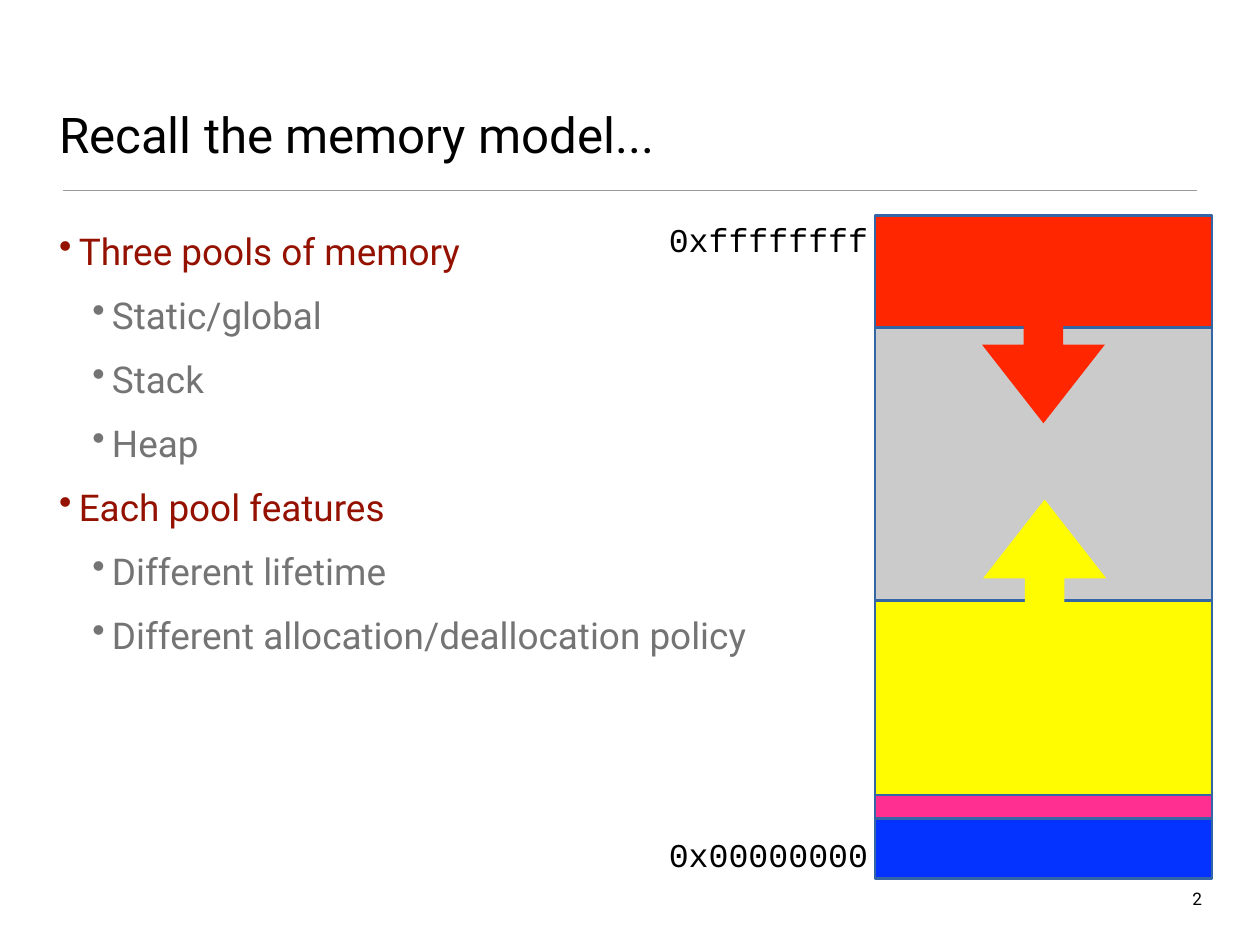
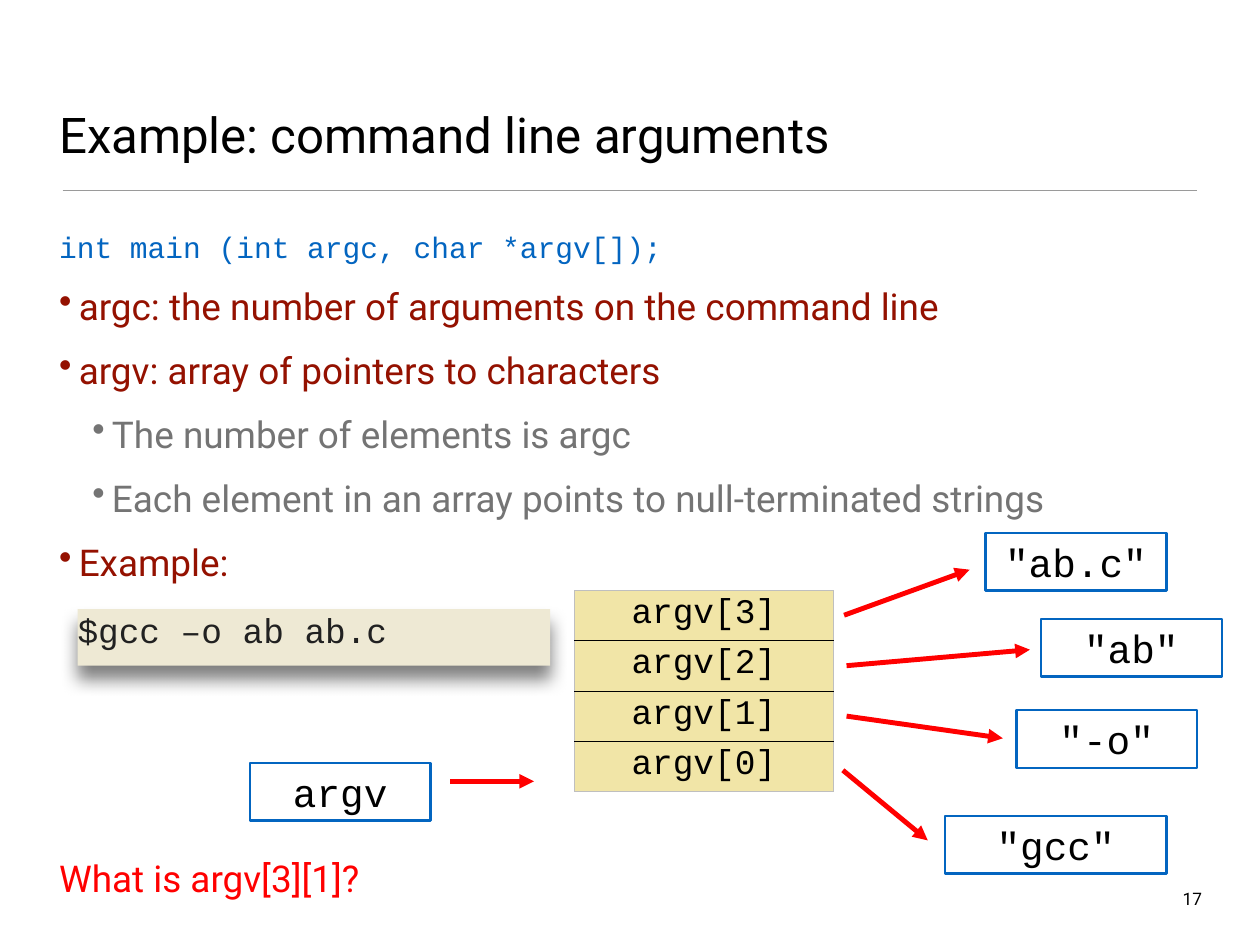
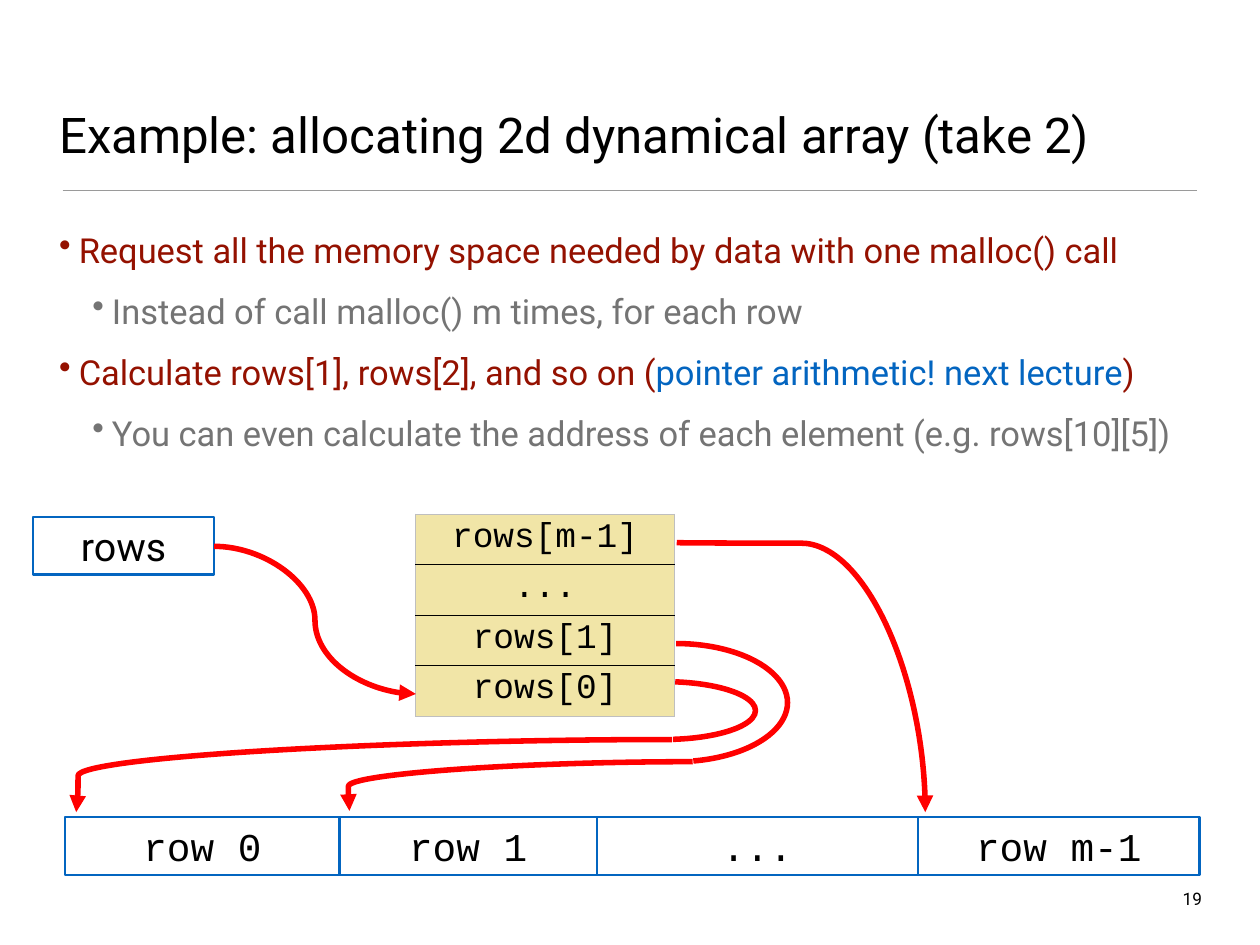
from itertools import pairwise

from lxml import etree
from pptx import Presentation
from pptx.dml.color import RGBColor
from pptx.enum.shapes import MSO_CONNECTOR, MSO_SHAPE
from pptx.enum.text import MSO_ANCHOR, PP_ALIGN
from pptx.oxml.ns import qn
from pptx.util import Emu, Pt

LEFT, CENTER, RIGHT = PP_ALIGN.LEFT, PP_ALIGN.CENTER, PP_ALIGN.RIGHT
TOP, MIDDLE, BOTTOM = MSO_ANCHOR.TOP, MSO_ANCHOR.MIDDLE, MSO_ANCHOR.BOTTOM
RECT, ARC = MSO_SHAPE.RECTANGLE, MSO_SHAPE.ARC
DOWN, UP = MSO_SHAPE.DOWN_ARROW, MSO_SHAPE.UP_ARROW
STRAIGHT, CURVE = MSO_CONNECTOR.STRAIGHT, MSO_CONNECTOR.CURVE

SCALE = 12700  # EMU per px
SLIDE_W, SLIDE_H = 1024, 768
BOX_W, BOX_H = 147, 47


class Theme:
    sans, mono = "Roboto", "Courier New"
    # Colours
    black, rule = "000000", "9A9A9A"
    point, sub, accent, alert = "941100", "747474", "0365C0", "FF0000"
    cell, cell_edge = "F1E5A7", "BFBFBF"
    console, console_text = "EEE9D4", "212121"
    stack, heap, free = "FF2600", "FFFB00", "CBCBCB"
    static, code, memory_edge = "FF2F92", "0433FF", "3465A4"
    # Type sizes
    title, body, body_small, signature = 40, 30, 28, 24
    box, table, address, number = 32, 28, 27, 14
    gap = 16


# Body paragraph kinds: indent, colour
KINDS = {
    "point": (16, Theme.point),
    "sub": (43, Theme.sub),
    "code": (0, Theme.accent),
    "question": (0, Theme.alert),
}
HANG = 16


def px(n):
    return Emu(round(n * SCALE))


def rgb(color):
    return RGBColor.from_string(color)


def add_xml(parent, tag, **attrs):
    return etree.SubElement(parent, qn(tag), attrs)


def style_run(r, size, color, font):
    r.font.size = Pt(size)
    r.font.name = font
    r.font.color.rgb = rgb(color)


# Text
def set_frame(tf, anchor, inset, wrap=True):
    tf.word_wrap = wrap
    tf.vertical_anchor = anchor
    tf.margin_left = tf.margin_right = px(inset)
    tf.margin_top = tf.margin_bottom = px(inset)


def write(tf, text, size, color=Theme.black, font=Theme.sans, align=LEFT):
    tf.text = text
    p = tf.paragraphs[0]
    p.alignment = align
    style_run(p.runs[0], size, color, font)


def add_text(slide, box, text, size, font=Theme.sans, align=LEFT,
             anchor=TOP, inset=3, wrap=True):
    tf = slide.shapes.add_textbox(*map(px, box)).text_frame
    set_frame(tf, anchor, inset, wrap)
    write(tf, text, size, font=font, align=align)


def add_body(slide, items, size=Theme.body):
    """Items are (kind, text, extra gap); text between bars is accented."""
    tf = slide.shapes.add_textbox(*map(px, (45, 183, 934, 517))).text_frame
    set_frame(tf, TOP, 3)
    for i, (kind, text, *extra) in enumerate(items):
        p = tf.paragraphs[0] if i == 0 else tf.add_paragraph()
        indent, color = KINDS[kind]
        p.space_before = Pt(Theme.gap + sum(extra))
        if indent:
            pPr = p._p.get_or_add_pPr()
            pPr.set("marL", str(px(indent)))
            pPr.set("indent", str(px(-HANG)))
            add_xml(pPr, "a:buChar", char="•")
        for j, part in enumerate(text.split("|")):
            r = p.add_run()
            r.text = part
            if kind == "code":
                style_run(r, Theme.signature, color, Theme.mono)
            else:
                style_run(r, size, Theme.accent if j % 2 else color, Theme.sans)


# Shapes
def add_shape(slide, kind, box, fill=None, line=None, width=2):
    sp = slide.shapes.add_shape(kind, *map(px, box))
    sp.shadow.inherit = False
    if fill:
        sp.fill.solid()
        sp.fill.fore_color.rgb = rgb(fill)
    else:
        sp.fill.background()
    if line:
        sp.line.color.rgb = rgb(line)
        sp.line.width = Pt(width)
    else:
        sp.line.fill.background()
    return sp


def add_box(slide, x, y, text, w=BOX_W, font=Theme.mono):
    sp = add_shape(slide, RECT, (x, y, w, BOX_H), line=Theme.accent)
    set_frame(sp.text_frame, MIDDLE, 4)
    write(sp.text_frame, text, Theme.box, font=font, align=CENTER)


def add_block_arrow(slide, kind, x, y, color):
    sp = add_shape(slide, kind, (x, y, 100, 100), color)
    sp.adjustments[0], sp.adjustments[1] = 0.32, 0.64


def add_arc(slide, box, start, end):
    sp = add_shape(slide, ARC, box, line=Theme.alert, width=4.5)
    # Angles are stored in 1/60000 degree, adjustments in 1/100000
    sp.adjustments[0], sp.adjustments[1] = start * 0.6, end * 0.6


def add_console(slide, box, text):
    sp = add_shape(slide, RECT, box, Theme.console)
    set_frame(sp.text_frame, TOP, 0)
    write(sp.text_frame, text, Theme.table, Theme.console_text, Theme.mono)
    effects = sp._element.spPr.find(qn("a:effectLst"))
    shadow = add_xml(effects, "a:outerShdw", blurRad=str(px(14)),
                     dist=str(px(11)), dir="5400000", rotWithShape="0")
    color = add_xml(shadow, "a:srgbClr", val=Theme.black)
    add_xml(color, "a:alpha", val="50000")


# Lines
def add_line(slide, start, end, color, width, kind=STRAIGHT, head=True):
    line = slide.shapes.add_connector(kind, *map(px, (*start, *end)))
    line.line.color.rgb = rgb(color)
    line.line.width = Pt(width)
    if head:
        add_xml(line.line._get_or_add_ln(), "a:tailEnd", type="triangle")
    add_xml(line._element.spPr, "a:effectLst")
    return line


def add_arrow(slide, start, end):
    add_line(slide, start, end, Theme.alert, 4)


def add_curve(slide, start, end, bend, vertical=False):
    line = add_line(slide, start, end, Theme.alert, 4.5, CURVE)
    spPr = line._element.spPr
    guides = spPr.find(qn("a:prstGeom")).get_or_add_avLst()
    add_xml(guides, "a:gd", name="adj1", fmla=f"val {round(bend * 100000)}")
    if vertical:
        # Turn a quarter about the centre so that the curve leaves vertically
        (x1, y1), (x2, y2) = start, end
        w, h = y2 - y1, x2 - x1
        line.left, line.top = px((x1 + x2 - w) / 2), px((y1 + y2 - h) / 2)
        line.width, line.height = px(w), px(h)
        xfrm = spPr.find(qn("a:xfrm"))
        xfrm.set("rot", "16200000")
        xfrm.set("flipH", "1")


# Table of pointers
def set_border(cell, side, color):
    ln = add_xml(cell._tc.get_or_add_tcPr(), f"a:ln{side}", w=str(Pt(1)))
    fill = add_xml(ln, "a:solidFill")
    add_xml(fill, "a:srgbClr", val=color)


def add_pointers(slide, x, y, row_h, names):
    w, count = 210, len(names)
    frame = slide.shapes.add_table(count, 1, *map(px, (x, y, w, row_h * count)))
    table = frame.table
    table.first_row = table.horz_banding = False
    for i, name in enumerate(names):
        cell = table.cell(i, 0)
        write(cell.text_frame, name, Theme.table, font=Theme.mono, align=CENTER)
        for side in "LR":
            set_border(cell, side, Theme.cell_edge)
        set_border(cell, "T", Theme.black if i else Theme.cell_edge)
        set_border(cell, "B", Theme.black if i < count - 1 else Theme.cell_edge)
        cell.fill.solid()
        cell.fill.fore_color.rgb = rgb(Theme.cell)


# Slides
def new_slide(prs, title, number):
    slide = prs.slides.add_slide(prs.slide_layouts[6])
    add_line(slide, (51, 155), (973, 155), Theme.rule, 1, head=False)
    add_text(slide, (45, 26, 934, 110), title, Theme.title, anchor=BOTTOM)
    add_text(slide, (958, 719, 22, 22), str(number), Theme.number,
             align=RIGHT, wrap=False)
    return slide


def memory_slide(prs):
    slide = new_slide(prs, "Recall the memory model...", 2)
    add_body(slide, [
        ("point", "Three pools of memory"),
        ("sub", "Static/global"),
        ("sub", "Stack"),
        ("sub", "Heap"),
        ("point", "Each pool features"),
        ("sub", "Different lifetime"),
        ("sub", "Different allocation/deallocation policy"),
    ])
    for y, address in ((174, "0xffffffff"), (674, "0x00000000")):
        add_text(slide, (539, y, 171, 40), address, Theme.address, Theme.mono,
                 CENTER, MIDDLE, 4, wrap=False)
    edges = (175, 266, 488, 646, 665, 714)
    pools = (Theme.stack, Theme.free, Theme.heap, Theme.static, Theme.code)
    for (top, bottom), color in zip(pairwise(edges), pools):
        add_shape(slide, RECT, (711, top, 274, bottom - top), color,
                  Theme.memory_edge)
    add_block_arrow(slide, DOWN, 798, 244, Theme.stack)
    add_block_arrow(slide, UP, 799, 406, Theme.heap)


def arguments_slide(prs):
    slide = new_slide(prs, "Example: command line arguments", 17)
    add_body(slide, [
        ("code", "int main (int argc, char *argv[]);"),
        ("point", "argc: the number of arguments on the command line"),
        ("point", "argv: array of pointers to characters"),
        ("sub", "The number of elements is argc"),
        ("sub", "Each element in an array points to null-terminated strings"),
        ("point", "Example:"),
        ("question", "What is argv[3][1]?", 205),
    ])
    add_pointers(slide, 467, 480, 39, [f"argv[{i}]" for i in (3, 2, 1, 0)])
    add_box(slide, 203, 620, "argv")
    add_arrow(slide, (366, 635), (434, 635))
    # Each string: box left, top, width, arrow start and end
    strings = (
        ('"ab.c"', 801, 433, BOX_W, (686, 500), (788, 463)),
        ('"ab"', 846, 503, BOX_W, (688, 541), (837, 528)),
        ('"-o"', 826, 577, BOX_W, (688, 582), (815, 600)),
        ('"gcc"', 768, 663, 180, (685, 626), (754, 683)),
    )
    for text, x, y, w, start, end in strings:
        add_box(slide, x, y, text, w)
        add_arrow(slide, start, end)
    add_console(slide, (63, 495, 384, 46), "$gcc –o ab ab.c")


def array_slide(prs):
    slide = new_slide(prs, "Example: allocating 2d dynamical array (take 2)", 19)
    add_body(slide, [
        ("point", "Request all the memory space needed by data with one malloc() call"),
        ("sub", "Instead of call malloc() m times, for each row"),
        ("point", "Calculate rows[1], rows[2], and so on "
                  "(|pointer arithmetic! next lecture|)"),
        ("sub", "You can even calculate the address of each element "
                "(e.g. rows[10][5])"),
    ], Theme.body_small)
    # Contiguous rows of data
    edges = (53, 276, 485, 746, 975)
    names = ("row 0", "row 1", "...", "row m-1")
    for (left, right), name in zip(pairwise(edges), names):
        add_box(slide, left, 664, name, right - left)
    # Row pointers
    add_pointers(slide, 338, 418, 41, ["rows[m-1]", "...", "rows[1]", "rows[0]"])
    add_box(slide, 27, 420, "rows", font=Theme.sans)
    add_curve(slide, (174, 444), (338, 564), 0.5)
    add_curve(slide, (550, 441), (752, 660), 0.002, vertical=True)
    add_arc(slide, (466, 554, 148, 47), 290.6, 73.6)
    add_curve(slide, (546, 601), (62, 660), 0.997)
    add_arc(slide, (459, 523, 181, 96), 270, 73.6)
    add_curve(slide, (563, 619), (284, 659), 1.003)


def main():
    prs = Presentation()
    prs.slide_width, prs.slide_height = px(SLIDE_W), px(SLIDE_H)
    memory_slide(prs)
    arguments_slide(prs)
    array_slide(prs)
    prs.save("out.pptx")


if __name__ == "__main__":
    main()
